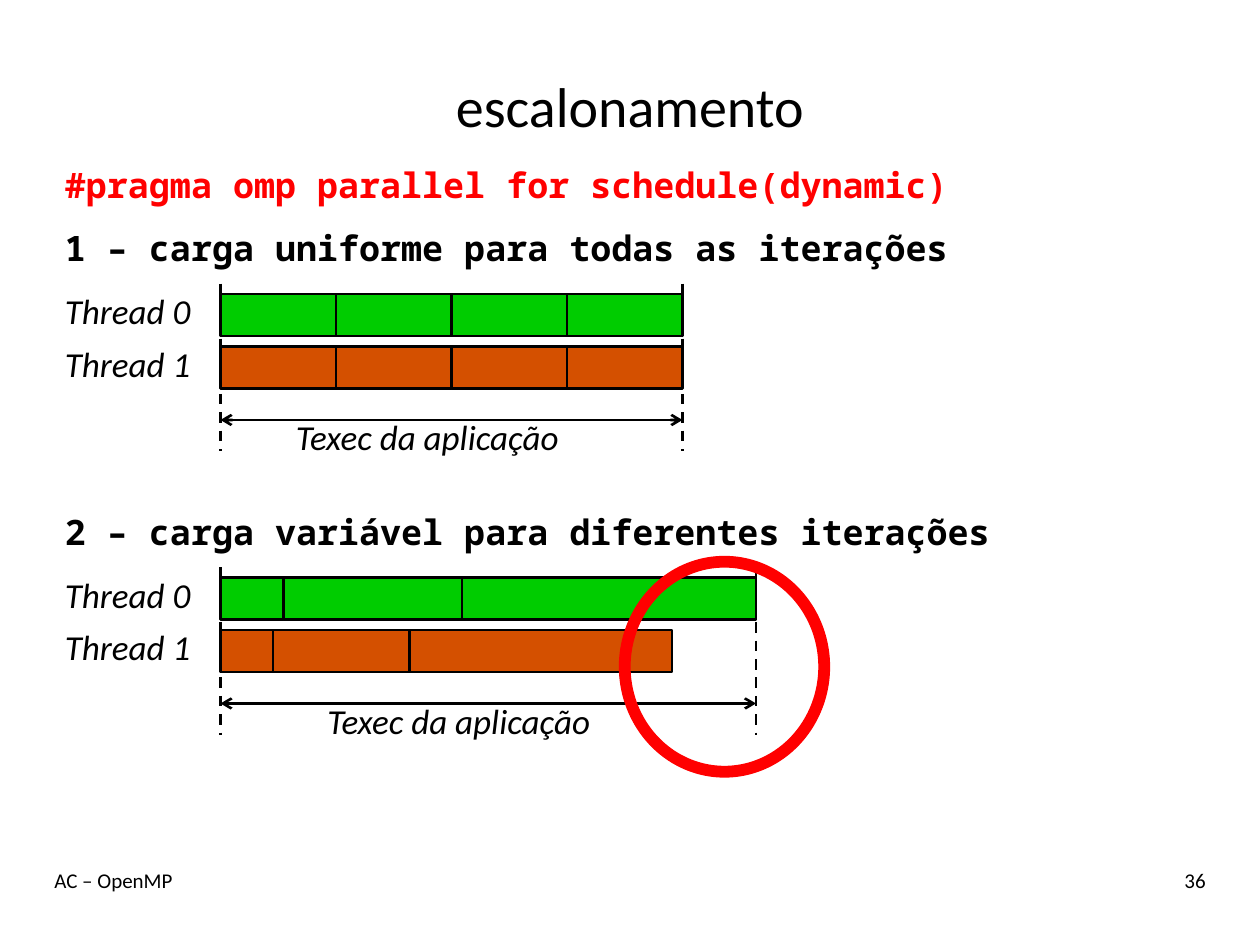
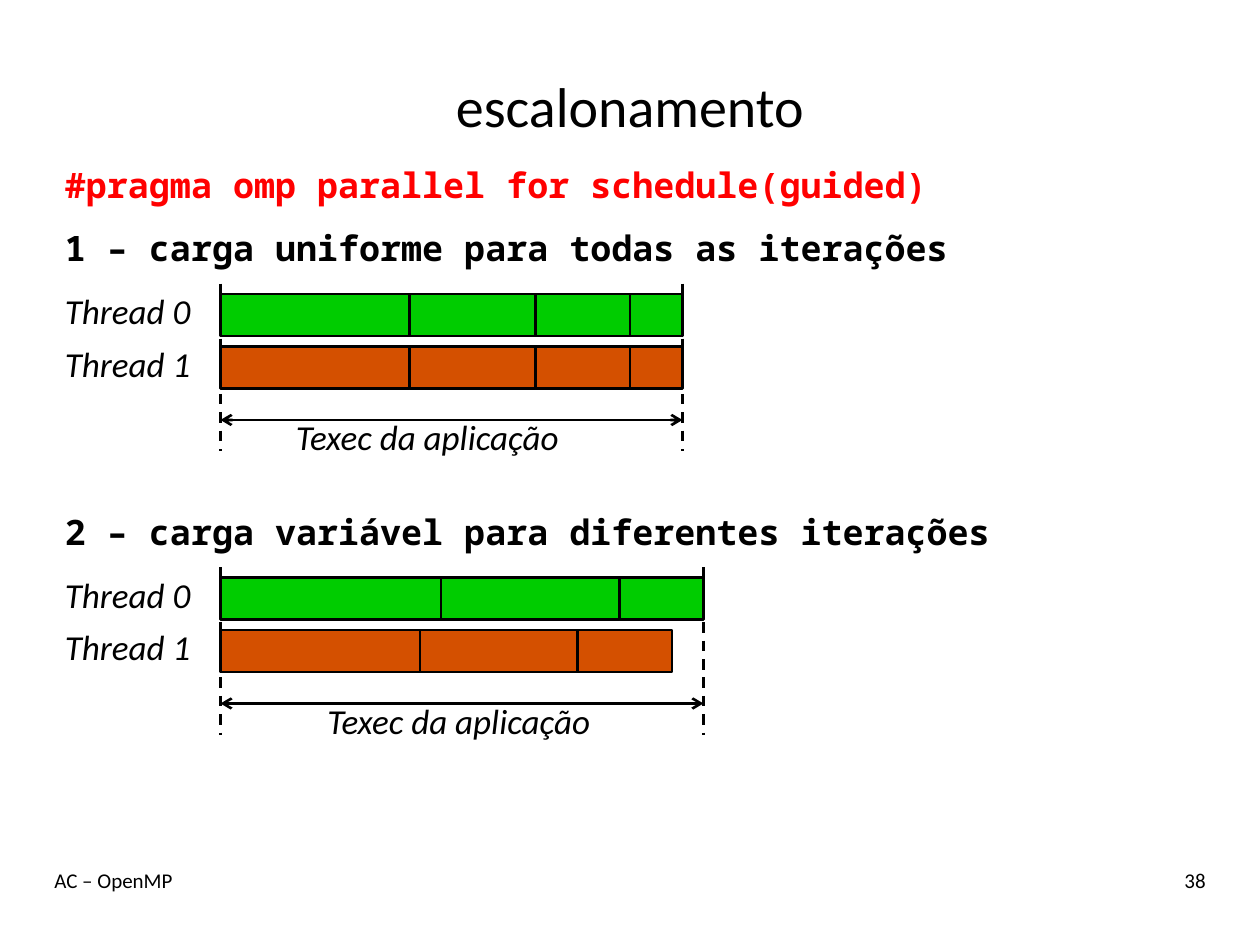
from lxml.etree import SubElement
from pptx import Presentation
from pptx.dml.color import RGBColor
from pptx.enum.dml import MSO_LINE
from pptx.enum.shapes import MSO_CONNECTOR, MSO_SHAPE
from pptx.enum.text import MSO_ANCHOR, PP_ALIGN
from pptx.oxml.ns import qn
from pptx.util import Cm, Pt

COLORS = {
    "text": "000000",
    "directive": "FF0000",
    "highlight": "FF0000",
    "thread 0": "00CC00",
    "thread 1": "D45000",
}
BODY_FONT = "Calibri"
CODE_FONT = "Noto Sans Mono"

# Everything sits on a grid of twelve units to the inch.
UNIT = Cm(2.54) // 12
LEFT = 5
TIMELINE_LEFT = 21
BAR_HEIGHT = 4
THREAD_STEP = 5

# (heading, top, left of the time caption)
CASES = [
    ("1 – carga uniforme para todas as iterações", 21, 27),
    ("2 – carga variável para diferentes iterações", 48, 30),
]

# For each case, the chunk lengths run by thread 0 and thread 1.
SCHEDULES = [
    {
        "kind": "dynamic",
        "page": "36",
        "chunks": [
            ([11, 11, 11, 11], [11, 11, 11, 11]),
            ([6, 17, 28], [5, 13, 25]),
        ],
        "highlight": (59, 53, 20, 21),
    },
    {
        "kind": "guided",
        "page": "38",
        "chunks": [
            ([18, 12, 9, 5], [18, 12, 9, 5]),
            ([21, 17, 8], [19, 15, 9]),
        ],
        "highlight": None,
    },
]


def add_text(slide, text, box, size=20, font=BODY_FONT, color="text",
             bold=False, italic=False, align=PP_ALIGN.LEFT, anchor=MSO_ANCHOR.TOP):
    """Add one line of text; box is left, top, width, height in grid units."""
    frame = slide.shapes.add_textbox(*(n * UNIT for n in box)).text_frame
    frame.word_wrap = True
    frame.vertical_anchor = anchor
    paragraph = frame.paragraphs[0]
    paragraph.text = text
    paragraph.alignment = align
    paragraph.font.name = font
    paragraph.font.size = Pt(size)
    paragraph.font.bold = bold
    paragraph.font.italic = italic
    paragraph.font.color.rgb = RGBColor.from_string(COLORS[color])


def add_line(slide, x1, y1, x2, y2, dashed=False, arrows=False):
    """Add a line between two grid points, with arrowheads at both ends if asked."""
    line = slide.shapes.add_connector(
        MSO_CONNECTOR.STRAIGHT, x1 * UNIT, y1 * UNIT, x2 * UNIT, y2 * UNIT)
    line.line.color.rgb = RGBColor.from_string(COLORS["text"])
    line.line.width = Pt(1.5)
    if dashed:
        line.line.dash_style = MSO_LINE.DASH
    properties = line.element.spPr
    if arrows:
        for end in ("a:headEnd", "a:tailEnd"):
            SubElement(properties.find(qn("a:ln")), qn(end), type="arrow")
    SubElement(properties, qn("a:effectLst"))


presentation = Presentation()
presentation.slide_width = Cm(25.4)
presentation.slide_height = Cm(19.05)

for schedule in SCHEDULES:
    slide = presentation.slides.add_slide(presentation.slide_layouts[6])

    add_text(slide, "escalonamento", (4, 3, 112, 14), size=32,
             align=PP_ALIGN.CENTER, anchor=MSO_ANCHOR.MIDDLE)
    add_text(slide, "AC – OpenMP", (4, 82, 84, 6), size=12)
    add_text(slide, schedule["page"], (100, 82, 16, 6), size=12, align=PP_ALIGN.RIGHT)
    add_text(slide, f"#pragma omp parallel for schedule({schedule['kind']})",
             (LEFT, 15, 111, 7), font=CODE_FONT, color="directive", bold=True)

    for (heading, top, caption_left), threads in zip(CASES, schedule["chunks"]):
        add_text(slide, heading, (LEFT, top, 111, 7), font=CODE_FONT, bold=True)
        add_text(slide, "Texec da aplicação", (caption_left, top + 18, 32, 6), italic=True)

        finish = TIMELINE_LEFT + max(sum(chunks) for chunks in threads)
        for limit in (TIMELINE_LEFT, finish):
            add_line(slide, limit, top + 6, limit, top + 22, dashed=True)
        add_line(slide, TIMELINE_LEFT, top + 19, finish, top + 19, arrows=True)

        for number, chunks in enumerate(threads):
            thread_top = top + 6 + number * THREAD_STEP
            add_text(slide, f"Thread {number}", (LEFT, thread_top, 16, 6), italic=True)
            start = TIMELINE_LEFT
            for length in chunks:
                chunk = slide.shapes.add_shape(
                    MSO_SHAPE.RECTANGLE, start * UNIT, (thread_top + 1) * UNIT,
                    length * UNIT, BAR_HEIGHT * UNIT)
                chunk.shadow.inherit = False
                chunk.fill.solid()
                chunk.fill.fore_color.rgb = RGBColor.from_string(COLORS[f"thread {number}"])
                chunk.line.color.rgb = RGBColor.from_string(COLORS["text"])
                chunk.line.width = Pt(1.5)
                start += length

    if schedule["highlight"]:
        ring = slide.shapes.add_shape(
            MSO_SHAPE.DONUT, *(n * UNIT for n in schedule["highlight"]))
        ring.adjustments[0] = 0.05
        ring.shadow.inherit = False
        ring.fill.solid()
        ring.fill.fore_color.rgb = RGBColor.from_string(COLORS["highlight"])
        ring.line.color.rgb = RGBColor.from_string(COLORS["highlight"])
        ring.line.width = Pt(0.75)

presentation.save("out.pptx")
